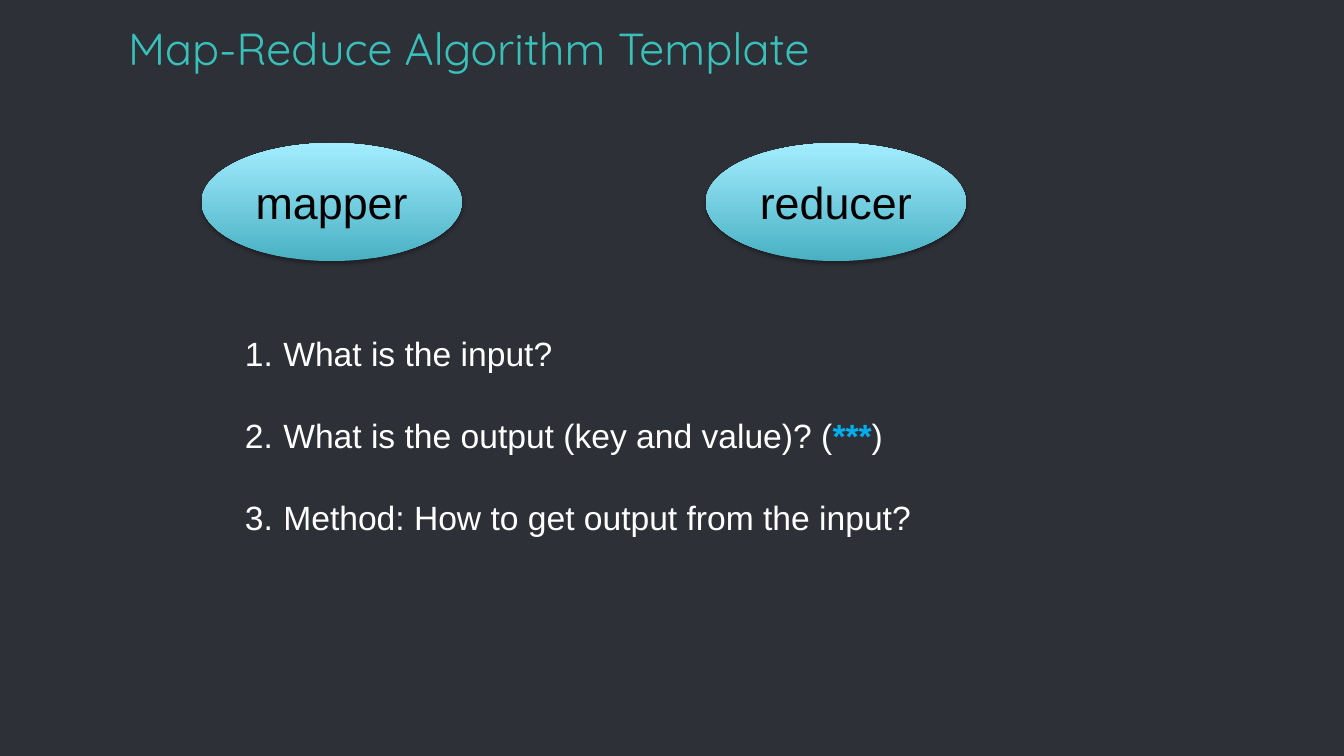
from dataclasses import dataclass

from lxml import etree
from pptx import Presentation
from pptx.dml.color import RGBColor
from pptx.enum.shapes import MSO_SHAPE
from pptx.enum.text import MSO_ANCHOR, MSO_AUTO_SIZE, PP_ALIGN
from pptx.oxml.ns import qn
from pptx.util import Inches, Pt

OVAL = MSO_SHAPE.OVAL
MIDDLE, BOTTOM, TOP = MSO_ANCHOR.MIDDLE, MSO_ANCHOR.BOTTOM, MSO_ANCHOR.TOP
LEFT, CENTER = PP_ALIGN.LEFT, PP_ALIGN.CENTER
NO_AUTOFIT = MSO_AUTO_SIZE.NONE
TITLE_AND_CONTENT = 1


@dataclass(frozen=True)
class Theme:
    background: str = "2E3037"
    title: str = "39C0BA"
    question: str = "FFFFFF"
    highlight: str = "00B0F0"
    stage_text: str = "000000"
    stage_bottom: str = "49B1C3"
    stage_top: str = "A2EDFF"
    shadow: str = "000000"
    title_font: str = "Quicksand"
    text_font: str = "Arial"
    heading_size: int = 32
    question_size: int = 24


THEME = Theme()

STAGES = ["mapper", "reducer"]
QUESTIONS = [
    [("What is the input?", False)],
    [("What is the output (key and value)? (", False), ("***", True), (")", False)],
    [("Method: How to get output from the input?", False)],
]


def rgb(value):
    return RGBColor.from_string(value)


def place(shape, left, top, width, height):
    shape.left, shape.top = Inches(left), Inches(top)
    shape.width, shape.height = Inches(width), Inches(height)


def style(paragraph, font_name, size, color, alignment):
    paragraph.alignment = alignment
    paragraph.font.name = font_name
    paragraph.font.size = Pt(size)
    paragraph.font.color.rgb = rgb(color)


def set_title(slide, text):
    title = slide.shapes.title
    place(title, 1.17, 0.08, 10.08, 0.76)
    frame = title.text_frame
    frame.text = text
    frame.auto_size = NO_AUTOFIT
    frame.vertical_anchor = BOTTOM
    frame.margin_left = frame.margin_right = Inches(0.1)
    frame.margin_top = frame.margin_bottom = Inches(0.1)
    style(frame.paragraphs[0], THEME.title_font, THEME.heading_size, THEME.title, LEFT)


def add_soft_shadow(shape):
    shape.shadow.inherit = False
    effects = shape._element.spPr.find(qn("a:effectLst"))
    shadow = etree.SubElement(
        effects, qn("a:outerShdw"), blurRad=str(Pt(3.1)), dist=str(Pt(1.8)),
        dir="5400000", rotWithShape="0",
    )
    color = etree.SubElement(shadow, qn("a:srgbClr"), val=THEME.shadow)
    etree.SubElement(color, qn("a:alpha"), val="35000")


def add_stage(slide, label, left):
    stage = slide.shapes.add_shape(
        OVAL, Inches(left), Inches(1.42), Inches(2.58), Inches(1.17)
    )
    stage.fill.gradient()
    stage.fill.gradient_angle = 90
    shades = (THEME.stage_bottom, THEME.stage_top)
    for stop, position, shade in zip(stage.fill.gradient_stops, (0, 1), shades):
        stop.position = position
        stop.color.rgb = rgb(shade)
    stage.line.fill.background()
    add_soft_shadow(stage)
    frame = stage.text_frame
    frame.text = label
    frame.vertical_anchor = MIDDLE
    style(frame.paragraphs[0], THEME.text_font, THEME.heading_size, THEME.stage_text, CENTER)


def number(paragraph):
    properties = paragraph._p.get_or_add_pPr()
    properties.set("marL", str(Inches(0.38)))
    properties.set("indent", str(Inches(-0.38)))
    etree.SubElement(properties, qn("a:buAutoNum"), type="arabicPeriod")


def set_questions(slide, questions):
    body = slide.placeholders[1]
    place(body, 2.33, 3.25, 7.39, 2.12)
    frame = body.text_frame
    frame.auto_size = NO_AUTOFIT
    frame.vertical_anchor = TOP
    for index, question in enumerate(questions):
        paragraph = frame.add_paragraph() if index else frame.paragraphs[0]
        paragraph.line_spacing = 1.0
        paragraph.space_before = Pt(30 if index else 0)
        number(paragraph)
        style(paragraph, THEME.text_font, THEME.question_size, THEME.question, LEFT)
        for text, highlighted in question:
            run = paragraph.add_run()
            run.text = text
            if highlighted:
                run.font.bold = True
                run.font.color.rgb = rgb(THEME.highlight)


def main():
    presentation = Presentation()
    presentation.slide_width = Inches(13.33)
    presentation.slide_height = Inches(7.5)
    slide = presentation.slides.add_slide(presentation.slide_layouts[TITLE_AND_CONTENT])
    slide.background.fill.solid()
    slide.background.fill.fore_color.rgb = rgb(THEME.background)
    set_questions(slide, QUESTIONS)
    set_title(slide, "Map-Reduce Algorithm Template")
    for index, label in enumerate(STAGES):
        add_stage(slide, label, 2 + 5 * index)
    presentation.save("out.pptx")


if __name__ == "__main__":
    main()
